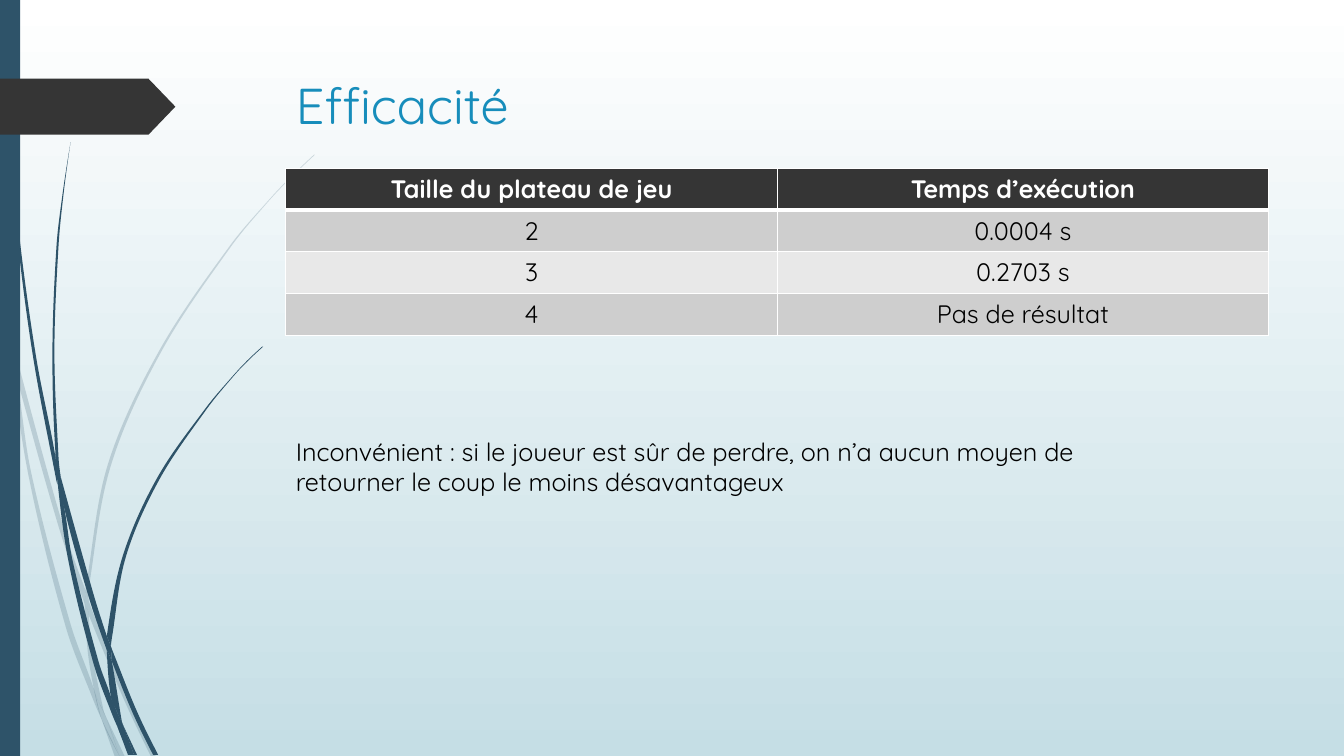
import pptx
import pptx.util
import pptx.dml.color
import pptx.enum.shapes
import pptx.enum.text
import pptx.oxml
import pptx.oxml.ns
import math
from dataclasses import dataclass

Pt = pptx.util.Pt
ALIGN = pptx.enum.text.PP_ALIGN
SHAPE = pptx.enum.shapes.MSO_SHAPE
NS = pptx.oxml.ns.nsdecls("a")


@dataclass(frozen=True)
class Theme:
    font: str = "Quicksand"
    title_size: int = 36
    body_size: int = 18
    sky_top: str = "FFFFFF"
    sky_bottom: str = "C5DEE5"
    grass: str = "2E5369"
    dark: str = "353535"
    title: str = "178DBB"
    text: str = "000000"
    white: str = "FFFFFF"
    bands: tuple = ("CECECE", "E8E8E8")


THEME = Theme()
GRASS_UNIT = Pt(0.72)  # grid step of the grass outlines

# Each piece of grass: its smooth edges, in order round the outline, in grid steps
PALE_GRASS = [
    [[(11, 350), (9, 322), (0, 282)], [(0, 299), (10, 344), (11, 350)]],
    [[(14, 345), (62, 520), (85, 586)], [(84, 599), (58, 522), (17, 376)]],
    [[(88, 596), (92, 607), (127, 692), (155, 751)], [(150, 751), (123, 694), (88, 610)]],
    [[(105, 711), (124, 751)], [(119, 751), (105, 711)]],
    [[(11, 350), (17, 376), (31, 469), (70, 619), (93, 683), (99, 707), (101, 714)],
     [(101, 714), (92, 693), (65, 621), (28, 470), (11, 350)]],
    [[(84, 599), (88, 608), (88, 610), (91, 646), (103, 706), (105, 711)],
     [(105, 711), (96, 692), (93, 683), (87, 646), (84, 599)]],
    [[(312, 154), (290, 175), (268, 198), (229, 245), (160, 349), (110, 462),
      (88, 584), (88, 596)],
     [(85, 586), (85, 584), (107, 461), (158, 348), (228, 244), (268, 197),
      (289, 175), (312, 153)]],
    [[(101, 714), (119, 751)], [(114, 751), (101, 714)]],
    [[(85, 586), (88, 596)], [(88, 610), (88, 608), (84, 599)]],
    [[(93, 683), (96, 692), (105, 711), (119, 751)], [(119, 751), (101, 714), (93, 683)]],
]
DARK_GRASS = [
    [[(4, 0), (5, 48), (8, 109), (19, 232), (36, 355), (55, 453), (57, 481)],
     [(57, 481), (56, 477), (33, 355), (17, 233), (7, 110), (4, 48), (3, 0)]],
    [[(60, 472), (93, 590), (106, 631)], [(106, 645), (88, 592), (64, 505), (60, 472)]],
    [[(110, 641), (113, 649), (136, 706), (157, 749)], [(152, 749), (132, 708), (111, 656)]],
    [[(57, 477), (64, 505), (72, 556), (98, 657), (110, 691), (116, 717), (117, 722)],
     [(117, 722), (111, 708), (93, 659), (68, 557), (57, 477)]],
    [[(70, 141), (63, 193), (58, 245), (54, 349), (58, 453), (60, 472)],
     [(60, 472), (55, 449), (52, 349), (56, 245), (62, 193), (70, 141)]],
    [[(122, 719), (136, 749)], [(133, 749), (122, 719)]],
    [[(55, 449), (60, 472)], [(60, 472), (64, 505)], [(64, 505), (57, 477), (55, 453)]],
    [[(261, 344), (245, 359), (231, 374), (205, 406), (158, 476), (125, 552),
      (111, 633), (110, 641)],
     [(106, 631), (122, 551), (156, 474), (204, 405), (231, 373), (245, 358), (260, 344)]],
    [[(117, 722), (131, 749)], [(127, 749), (117, 722)]],
    [[(106, 645), (109, 651), (111, 656), (121, 716), (122, 719)],
     [(122, 719), (116, 706), (110, 691), (106, 645)]],
    [[(106, 631), (110, 641)], [(111, 656), (109, 651), (106, 645)]],
    [[(110, 691), (116, 706), (122, 719), (133, 749)],
     [(130, 749), (117, 722), (110, 691)]],
]


def rgb(value):
    return pptx.dml.color.RGBColor.from_string(value)


def paint(shape, color, opacity=100):
    shape.shadow.inherit = False
    shape.fill.solid()
    shape.fill.fore_color.rgb = rgb(color)
    shape.line.fill.background()
    if opacity < 100:
        clr = shape.fill._xPr.find(".//" + pptx.oxml.ns.qn("a:srgbClr"))
        clr.append(pptx.oxml.parse_xml(f'<a:alpha {NS} val="{opacity * 1000}"/>'))


def write(tf, text, size, color, bold=False, align=ALIGN.LEFT):
    p = tf.paragraphs[0]
    p.alignment = align
    r = p.add_run()
    r.text = text
    for key, value in {"name": THEME.font, "size": Pt(size), "bold": bold}.items():
        setattr(r.font, key, value)
    r.font.color.rgb = rgb(color)


def place(shape, box):
    for key, value in zip(("left", "top", "width", "height"), box):
        setattr(shape, key, Pt(value))


def mix(a, b, t):
    return tuple(p + (q - p) * t for p, q in zip(a, b))


def handle(before, at, after):
    """Control point beyond `at`, on the tangent set by its two neighbours."""
    step = math.dist(at, after)
    reach = step / (3 * (math.dist(before, at) + step))
    return tuple(p + (n - b) * reach for b, p, n in zip(before, at, after))


def curves(edges):
    """Cubic segments round the outline; straight joins between its edges."""
    last = edges[0][0]
    for edge in edges:
        if edge[0] != last:
            yield last, edge[0], edge[0]
        for i, (a, b) in enumerate(zip(edge, edge[1:])):
            c1 = handle(edge[i - 1], a, b) if i else None
            c2 = handle(edge[i + 2], b, a) if i + 2 < len(edge) else None
            yield (c1 or mix(a, c2 or b, 0.5 if c2 else 1 / 3),
                   c2 or mix(b, c1 or a, 0.5 if c1 else 1 / 3), b)
        last = edge[-1]


def add_blade(s, origin, edges, opacity):
    segments = list(curves(edges))
    anchors = [edges[0][0]] + [end for _, _, end in segments]
    x0, y0 = (min(values) for values in zip(*anchors))
    builder = s.shapes.build_freeform(*anchors[0], scale=1 / GRASS_UNIT * GRASS_UNIT ** 2)
    builder.add_line_segments(anchors[1:], close=True)
    shape = builder.convert_to_shape(*origin)
    outline = shape._element.find(".//" + pptx.oxml.ns.qn("a:path"))
    # Finer grid, so that the handles keep their fractions
    for key in ("w", "h"):
        outline.set(key, str(int(outline.get(key)) * 100))
    for pt in outline.iter(pptx.oxml.ns.qn("a:pt")):
        for key in ("x", "y"):
            pt.set(key, str(int(pt.get(key)) * 100))
    for line, segment in zip(outline.findall(pptx.oxml.ns.qn("a:lnTo")), segments):
        points = "".join(f'<a:pt x="{round((x - x0) * 100)}" y="{round((y - y0) * 100)}"/>'
                         for x, y in segment)
        outline.replace(line, pptx.oxml.parse_xml(
            f"<a:cubicBezTo {NS}>{points}</a:cubicBezTo>"))
    paint(shape, THEME.grass, opacity)


def add_background(s):
    fill = s.background.fill
    fill.gradient()
    fill.gradient_angle = 270
    for stop, color in zip(fill.gradient_stops, (THEME.sky_top, THEME.sky_bottom)):
        stop.color.rgb = rgb(color)


def add_side_decor(s, box):
    left, top, width, height = box
    # Grass
    for pieces, opacity in ((PALE_GRASS, 20), (DARK_GRASS, 100)):
        for edges in pieces:
            add_blade(s, (Pt(left), Pt(top)), edges, opacity)
    # Side bar and page tag
    bar = s.shapes.add_shape(SHAPE.RECTANGLE, Pt(left), Pt(top), Pt(14.4), Pt(height))
    paint(bar, THEME.grass)
    tag = s.shapes.add_shape(SHAPE.PENTAGON, Pt(left), Pt(top + 56.2), Pt(width), Pt(40))
    tag.adjustments[0] = 0.48
    paint(tag, THEME.dark)


def add_title(s, box, text):
    place(s.shapes.title, box)
    tf = s.shapes.title.text_frame
    for key, value in {"word_wrap": True,
                       "vertical_anchor": pptx.enum.text.MSO_ANCHOR.TOP,
                       "auto_size": pptx.enum.text.MSO_AUTO_SIZE.NONE}.items():
        setattr(tf, key, value)
    write(tf, text, THEME.title_size, THEME.title)


def set_borders(cell, widths):
    tcPr = cell._tc.get_or_add_tcPr()
    for i, (side, width) in enumerate(widths.items()):
        tcPr.insert(i, pptx.oxml.parse_xml(
            f'<a:ln{side} {NS} w="{Pt(width)}"><a:solidFill>'
            f'<a:srgbClr val="{THEME.white}"/></a:solidFill></a:ln{side}>'))


def add_timings(s, box, rows):
    table = s.shapes.add_table(len(rows), len(rows[0]), *map(Pt, box)).table
    for i, row in enumerate(rows):
        header = i == 0
        fill = THEME.dark if header else THEME.bands[(i - 1) % 2]
        color = THEME.white if header else THEME.text
        for j, text in enumerate(row):
            cell = table.cell(i, j)
            cell.fill.solid()
            cell.fill.fore_color.rgb = rgb(fill)
            set_borders(cell, {"L": 1, "R": 1, "T": 3 if i == 1 else 1, "B": 3 if header else 1})
            write(cell.text_frame, text, THEME.body_size, color, header, ALIGN.CENTER)


def add_remark(s, box, text):
    tf = s.shapes.add_textbox(*map(Pt, box)).text_frame
    tf.word_wrap = True
    write(tf, text, THEME.body_size, THEME.text)


prs = pptx.Presentation()
prs.slide_width, prs.slide_height = Pt(960), Pt(540)
s = prs.slides.add_slide(prs.slide_layouts[5])
add_background(s)
add_side_decor(s, (0, 0, 125.3, 540))
add_title(s, (204.2, 49, 702, 101), "Efficacité")
add_timings(s, (204.2, 120.2, 702, 118.8), [
    ("Taille du plateau de jeu", "Temps d’exécution"),
    ("2", "0.0004 s"), ("3", "0.2703 s"), ("4", "Pas de résultat")])
add_remark(s, (204.2, 308.2, 648, 51),
           "Inconvénient : si le joueur est sûr de perdre, on n’a aucun moyen de "
           "retourner le coup le moins désavantageux")
prs.save("out.pptx")
